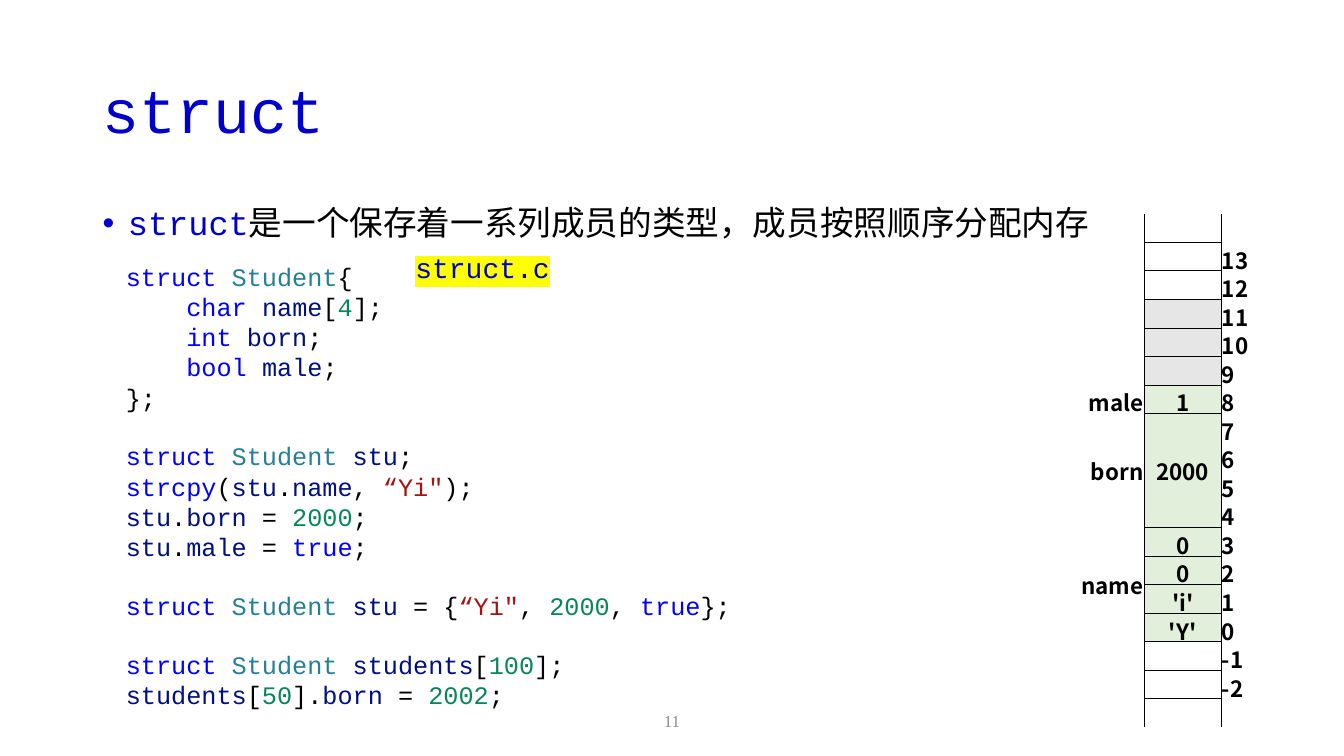
import pptx
import pptx.dml.color
import pptx.enum.text
import pptx.oxml
import pptx.oxml.ns
import pptx.util
from lxml import etree
from pptx.util import Inches, Pt

MONO, SANS, SERIF = "Courier New", "Noto Sans CJK SC", "Times New Roman"
BLUE, BLACK, GREY = "0000CC", "000000", "8C8C8C"
KEYWORD, TYPE, NAME, NUMBER, STRING = "0000FF", "267F99", "001080", "098658", "A31515"
KEYWORDS = {"struct", "char", "int", "bool", "strcpy", "true"}

# Each block is a list of code lines; "|" separates the coloured parts.
CODE_BLOCKS = [
    ["struct |Student|{",
     "    char |name|[|4|];",
     "    int |born|;",
     "    bool |male|;",
     "};"],
    ["struct |Student |stu|;",
     "strcpy|(|stu|.|name|, |“Yi\"|);",
     "stu|.|born| = |2000|;",
     "stu|.|male| = |true|;"],
    ["struct |Student |stu| = {|“Yi\"|, |2000|, |true|};"],
    ["struct |Student |students|[|100|];",
     "students|[|50|].|born| = |2002|;"],
]
CODE_LINE_HEIGHT = 20.4

# Memory table: addresses run from 13 in row 1 down to -2.
ROWS, TOP_ADDRESS = 18, 13
COLUMN_WIDTHS = [0.98, 0.76, 0.56]
USED, PADDING = "E2EFDA", "E7E6E6"
# (highest address, number of bytes, text)
MEMBERS = [(8, 1, "male"), (7, 4, "born"), (3, 4, "name")]
VALUES = [(8, 1, "1"), (7, 4, "2000"), (3, 1, "0"), (2, 1, "0"), (1, 1, "'i'"), (0, 1, "'Y'")]
PADDING_ADDRESSES = (11, 10, 9)

ALIGN = pptx.enum.text.PP_ALIGN
ANCHOR = pptx.enum.text.MSO_ANCHOR


def color(value):
    return pptx.dml.color.RGBColor.from_string(value)


def add_element(parent, tag, **attributes):
    return etree.SubElement(parent, pptx.oxml.ns.qn(tag), **attributes)


def add_span(para, text, size, font, fill, bold=False):
    span = para.add_run()
    span.text = text
    span.font.size = Pt(size)
    span.font.name = font
    span.font.bold = bold
    span.font.color.rgb = color(fill)
    add_element(span.font._element, "a:ea", typeface=SANS)
    return span


def add_box(page, left, top, width, height, anchor=ANCHOR.TOP, wrap=True):
    box = page.shapes.add_textbox(*map(Inches, (left, top, width, height)))
    box.text_frame.word_wrap = wrap
    box.text_frame.vertical_anchor = anchor
    return box


def code_color(token):
    word = token.strip()
    if word in KEYWORDS:
        return KEYWORD
    if word == "Student":
        return TYPE
    if word.startswith("“"):
        return STRING
    if word.isdigit():
        return NUMBER
    return NAME if word.isalpha() else BLACK


def add_code(page):
    frame = add_box(page, 1.15, 2.54, 6.41, 4.64).text_frame
    para = frame.paragraphs[0]
    for block_index, block in enumerate(CODE_BLOCKS):
        for line_index, line in enumerate(block):
            if block_index or line_index:
                para = frame.add_paragraph()
            if block_index and not line_index:
                para.space_before = Pt(CODE_LINE_HEIGHT)
            for token in line.split("|"):
                add_span(para, token, 18, MONO, code_color(token))


def set_borders(cell, visible):
    """Draw thin lines on the sides named in visible and none on the others."""
    properties = cell._tc.get_or_add_tcPr()
    for side in "LRTB":
        line = add_element(properties, f"a:ln{side}", w=str(Pt(0.5)))
        if side in visible:
            fill = add_element(line, "a:solidFill")
            add_element(fill, "a:srgbClr", val=BLACK)
        else:
            add_element(line, "a:noFill")


def fill_cell(cell, text, align):
    para = cell.text_frame.paragraphs[0]
    para.alignment = align
    add_span(para, text, 16, SANS, BLACK, bold=True)


def row_of(address):
    return TOP_ADDRESS - address + 1


def add_memory(page):
    frame = page.shapes.add_table(ROWS, 3, *map(Inches, (10.37, 2.12, 2.3, 5.1)))
    table = frame.table
    table.first_row = table.horz_banding = False
    for column, width in zip(table.columns, COLUMN_WIDTHS):
        column.width = Inches(width)

    fills = {row_of(address): PADDING for address in PADDING_ADDRESSES}
    for address, size, _ in VALUES:
        fills.update({row_of(address) + step: USED for step in range(size)})
    for row in range(ROWS):
        table.rows[row].height = Inches(5.1 / ROWS)
        middle = "LR" + ("T" if row else "") + ("B" if row < ROWS - 1 else "")
        for column, sides in enumerate(("R", middle, "L")):
            cell = table.cell(row, column)
            cell.margin_left = cell.margin_right = cell.margin_top = Inches(0.01)
            cell.margin_bottom = 0
            cell.vertical_anchor = ANCHOR.MIDDLE
            set_borders(cell, sides)
            if column == 1 and row in fills:
                cell.fill.solid()
                cell.fill.fore_color.rgb = color(fills[row])
            else:
                cell.fill.background()

    for column, entries, align in ((0, MEMBERS, ALIGN.RIGHT), (1, VALUES, ALIGN.CENTER)):
        for address, size, text in entries:
            row = row_of(address)
            cell = table.cell(row, column)
            if size > 1:
                cell.merge(table.cell(row + size - 1, column))
            fill_cell(cell, text, align)
    for row in range(1, ROWS - 1):
        fill_cell(table.cell(row, 2), str(TOP_ADDRESS + 1 - row), ALIGN.LEFT)
    for row in table.rows:
        for cell in row.cells:
            para = cell.text_frame.paragraphs[0]
            if not para.runs:
                add_element(para._p, "a:endParaRPr", sz="1000")


def add_title(page):
    para = add_box(page, 0.92, 0.4, 11.5, 1.45, ANCHOR.MIDDLE).text_frame.paragraphs[0]
    para.line_spacing = 0.9
    add_span(para, "struct", 44, MONO, BLUE)


def add_bullet(page):
    para = add_box(page, 0.92, 2, 11.5, 4.76).text_frame.paragraphs[0]
    para.line_spacing = 0.9
    properties = para._p.get_or_add_pPr()
    properties.set("marL", str(Inches(0.25)))
    properties.set("indent", str(Inches(-0.25)))
    add_element(properties, "a:buFont", typeface="Arial")
    add_element(properties, "a:buChar", char="•")
    add_span(para, "struct", 24, MONO, BLUE)
    add_span(para, "是一个保存着一系列成员的类型，成员按照顺序分配内存", 24, MONO, BLACK)


def add_file_label(page):
    box = add_box(page, 4.02, 2.44, 1.55, 0.44, wrap=False)
    box.fill.solid()
    box.fill.fore_color.rgb = color("FFFFFF")
    span = add_span(box.text_frame.paragraphs[0], "struct.c", 20, MONO, BLUE)
    latin = span.font._element.find(pptx.oxml.ns.qn("a:latin"))
    highlight = add_element(span.font._element, "a:highlight")
    add_element(highlight, "a:srgbClr", val="FFFF00")
    latin.addprevious(highlight)


def add_page_number(page):
    para = add_box(page, 6.26, 6.95, 0.81, 0.4, ANCHOR.MIDDLE).text_frame.paragraphs[0]
    para.alignment = ALIGN.CENTER
    add_span(para, "11", 12, SERIF, GREY)


def main():
    deck = pptx.Presentation()
    deck.slide_width, deck.slide_height = Inches(13.33), Inches(7.5)
    page = deck.slides.add_slide(deck.slide_layouts[6])
    for add_part in (add_title, add_bullet, add_page_number, add_code, add_memory, add_file_label):
        add_part(page)
    deck.save("out.pptx")


if __name__ == "__main__":
    main()
